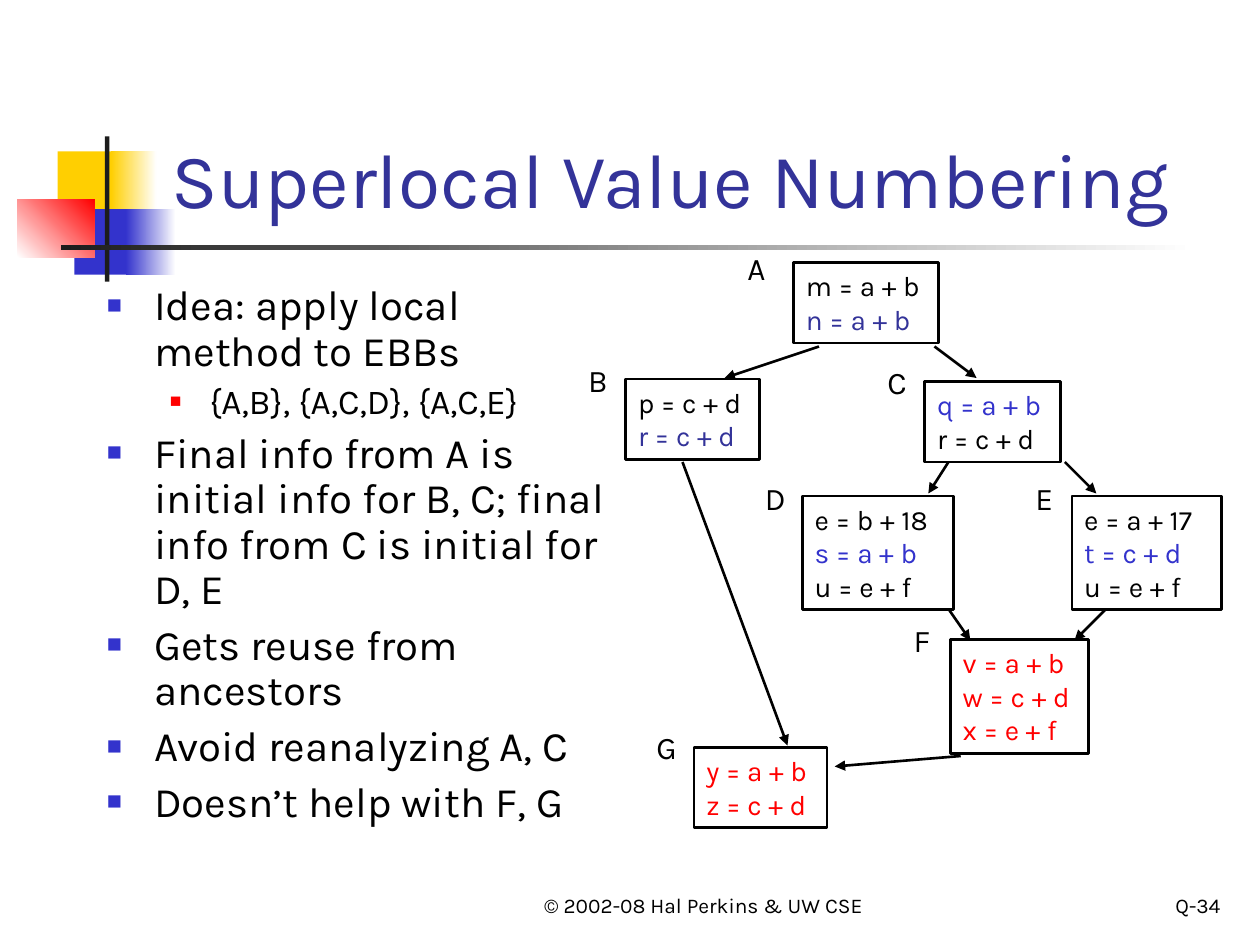
from lxml.etree import SubElement
from pptx import Presentation
from pptx.dml.color import RGBColor
from pptx.enum.shapes import MSO_CONNECTOR, MSO_SHAPE
from pptx.enum.text import MSO_ANCHOR as Anchor, PP_ALIGN as Align
from pptx.oxml.ns import qn
from pptx.util import Pt

FONT = "Karla"
BLACK = RGBColor(0x00, 0x00, 0x00)
WHITE = RGBColor(0xFF, 0xFF, 0xFF)
CHARCOAL = RGBColor(0x1C, 0x1C, 0x1C)
YELLOW = RGBColor(0xFF, 0xCF, 0x01)
BLUE = RGBColor(0x33, 0x33, 0xCC)
NAVY = RGBColor(0x33, 0x33, 0x99)
RED = RGBColor(0xFF, 0x00, 0x00)

DECORATION = [
    ((33, 86.5, 34.5, 37.5), (YELLOW,), 0),
    ((63.5, 86.5, 26, 37.5), (YELLOW, WHITE), 0),
    ((42.5, 119.5, 33, 37.5), (BLUE,), 0),
    ((72, 119.5, 28.5, 37.5), (BLUE, WHITE), 0),
    ((10, 114, 44, 33), (WHITE, RED), 45),
    ((60, 78, 2.5, 83), (CHARCOAL,), 0),
    ((35, 140.25, 648, 2.5), (CHARCOAL, WHITE), 0),
]

BULLETS = [
    (0, "Idea: apply local method to EBBs"),
    (1, "{A,B}, {A,C,D}, {A,C,E}"),
    (0, "Final info from A is initial info for B, C; final info from C is initial for D, E"),
    (0, "Gets reuse from ancestors"),
    (0, "Avoid reanalyzing A, C"),
    (0, "Doesn’t help with F, G"),
]

BULLET_LEVELS = [
    {"size": 24, "before": 6, "bullet": (27, 27, BLUE, 60)},
    {"size": 20, "before": 5, "bullet": (58.5, 22.5, RED, 55)},
]

CODE_BLOCKS = [
    ("A", (453.5, 150, 83, 46), (420, 139), [("m = a + b", BLACK), ("n = a + b", NAVY)]),
    ("B", (357.5, 216.5, 76.5, 46), (329, 203), [("p = c + d", BLACK), ("r = c + d", NAVY)]),
    ("C", (528.5, 218, 77.5, 46), (500, 204), [("q = a + b", BLUE), ("r = c + d", BLACK)]),
    ("D", (458.5, 283.5, 86.5, 65), (430, 270),
     [("e = b + 18", BLACK), ("s = a + b", BLUE), ("u = e + f", BLACK)]),
    ("E", (612.5, 283.5, 85.5, 65), (584.5, 270),
     [("e = a + 17", BLACK), ("t = c + d", BLUE), ("u = e + f", BLACK)]),
    ("F", (543, 365.5, 79, 65), (515, 351.5),
     [("v = a + b", RED), ("w = c + d", RED), ("x = e + f", RED)]),
    ("G", (396.5, 427, 76, 46), (368, 412.5), [("y = a + b", RED), ("z = c + d", RED)]),
]

ARROWS = [
    (549, 432, 477, 438),
    (542, 264, 530.5, 282),
    (608.5, 264, 626.5, 282),
    (632, 348, 614, 366),
    (542, 348, 554.5, 366),
    (534, 198, 558, 216),
    (468, 198, 414, 216),
    (390, 264, 450, 426),
]


def points(values):
    """Turn plain numbers into point lengths."""
    return [Pt(value) for value in values]


def add_bullet(paragraph, margin, hanging, color, percent):
    """Give a paragraph a square bullet and a hanging indent."""
    properties = paragraph._p.get_or_add_pPr()
    properties.set("marL", str(Pt(margin)))
    properties.set("indent", str(-Pt(hanging)))
    bullet_color = SubElement(properties, qn("a:buClr"))
    SubElement(bullet_color, qn("a:srgbClr")).set("val", str(color))
    SubElement(properties, qn("a:buSzPct")).set("val", str(percent * 1000))
    SubElement(properties, qn("a:buFont")).set("typeface", "Arial")
    SubElement(properties, qn("a:buChar")).set("char", "■")


def write_line(frame, text, *, size, color=BLACK, align=Align.LEFT,
               bullet=None, spacing=None, before=0):
    """Add one formatted paragraph to a text frame."""
    first = not frame.paragraphs[0].runs
    paragraph = frame.paragraphs[0] if first else frame.add_paragraph()
    paragraph.alignment = align
    paragraph.line_spacing = spacing
    paragraph.space_before = Pt(0 if first else before)
    if bullet:
        add_bullet(paragraph, *bullet)
    run = paragraph.add_run()
    run.text = text
    run.font.name = FONT
    run.font.size = Pt(size)
    run.font.color.rgb = color


def add_text_frame(slide, box, anchor=Anchor.TOP):
    """Add a wrapping text box and return its frame."""
    frame = slide.shapes.add_textbox(*points(box)).text_frame
    frame.word_wrap = True
    frame.vertical_anchor = anchor
    return frame


def add_rectangle(slide, box):
    """Add a rectangle without a shadow."""
    shape = slide.shapes.add_shape(MSO_SHAPE.RECTANGLE, *points(box))
    shape.shadow.inherit = False
    return shape


def add_decoration(slide, box, colors, angle):
    """Draw one solid or graded block of the title ornament."""
    shape = add_rectangle(slide, box)
    shape.line.fill.background()
    if len(colors) == 1:
        shape.fill.solid()
        shape.fill.fore_color.rgb = colors[0]
        return
    shape.fill.gradient()
    shape.fill.gradient_angle = angle
    for stop, color in zip(shape.fill.gradient_stops, colors):
        stop.color.rgb = color


def add_bullets(slide, box):
    """Place the two-level bullet list."""
    frame = add_text_frame(slide, box)
    for level, text in BULLETS:
        write_line(frame, text, spacing=0.9, **BULLET_LEVELS[level])


def add_code_block(slide, name, box, label_corner, lines):
    """Draw a basic block with its code and its name."""
    shape = add_rectangle(slide, box)
    shape.fill.background()
    shape.line.color.rgb = BLACK
    shape.line.width = Pt(1.5)
    frame = shape.text_frame
    frame.word_wrap = True
    frame.vertical_anchor = Anchor.TOP
    for text, color in lines:
        write_line(frame, text, size=16, color=color)
    label = add_text_frame(slide, (*label_corner, 27, 29))
    write_line(label, name, size=18)


def add_arrow(slide, ends):
    """Draw one control-flow arrow."""
    connector = slide.shapes.add_connector(MSO_CONNECTOR.STRAIGHT, *points(ends))
    connector.line.color.rgb = BLACK
    connector.line.width = Pt(1.5)
    SubElement(connector.line._get_or_add_ln(), qn("a:tailEnd")).set("type", "triangle")
    SubElement(connector._element.spPr, qn("a:effectLst"))


def add_flow_graph(slide):
    """Draw the basic blocks and the arrows between them."""
    for block in CODE_BLOCKS:
        add_code_block(slide, *block)
    for ends in ARROWS:
        add_arrow(slide, ends)


def main():
    """Build and save the slide."""
    presentation = Presentation()
    presentation.slide_width, presentation.slide_height = Pt(720), Pt(540)
    slide = presentation.slides.add_slide(presentation.slide_layouts[6])
    for block in DECORATION:
        add_decoration(slide, *block)
    footer = add_text_frame(slide, (288, 492, 228, 36), Anchor.BOTTOM)
    write_line(footer, "© 2002-08 Hal Perkins & UW CSE", size=12, align=Align.CENTER)
    number = add_text_frame(slide, (554.5, 492, 150, 36), Anchor.BOTTOM)
    write_line(number, "Q-34", size=12, align=Align.RIGHT)
    title = add_text_frame(slide, (91, 16.5, 613.5, 115), Anchor.BOTTOM)
    write_line(title, "Superlocal Value Numbering", size=44, color=NAVY)
    add_bullets(slide, (54, 159, 300, 324))
    add_flow_graph(slide)
    presentation.save("out.pptx")


if __name__ == "__main__":
    main()
